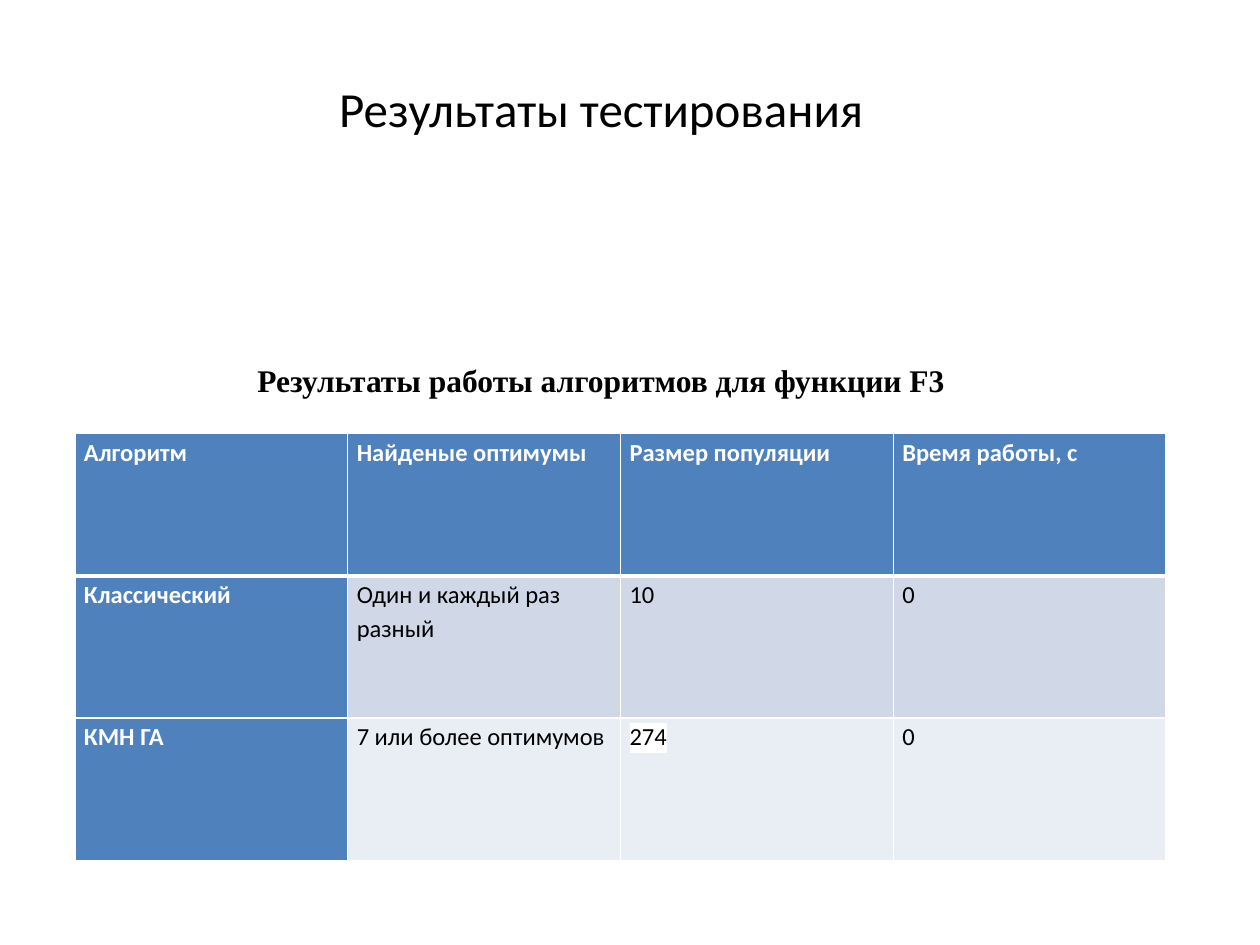
from lxml import etree
from pptx import Presentation
from pptx.dml.color import RGBColor
from pptx.enum.text import MSO_ANCHOR, PP_ALIGN
from pptx.oxml.ns import qn
from pptx.util import Pt

CENTER = PP_ALIGN.CENTER
MIDDLE = MSO_ANCHOR.MIDDLE
TOP = MSO_ANCHOR.TOP
COLORS = {"header": "4F81BD", "band_dark": "D0D8E8", "band_light": "E9EDF4",
          "white": "FFFFFF", "black": "000000"}


def style_text(paragraph, size, font_name, color, bold):
    for run in paragraph.runs:
        run.font.size = Pt(size)
        run.font.name = font_name
        run.font.bold = bold
        run.font.color.rgb = RGBColor.from_string(COLORS[color])


def add_color(parent, tag, color):
    holder = etree.SubElement(parent, qn(tag))
    etree.SubElement(holder, qn("a:srgbClr"), val=COLORS[color])
    return holder


prs = Presentation()
prs.slide_width, prs.slide_height = Pt(720), Pt(540)
slide = prs.slides.add_slide(prs.slide_layouts[5])

results = [
    ["Алгоритм", "Найденые оптимумы", "Размер популяции", "Время работы, с"],
    ["Классический", "Один и каждый раз разный", "10", "0"],
    ["КМН ГА", "7 или более оптимумов", "274", "0"],
]
row_fills = ["header", "band_dark", "band_light"]
table = slide.shapes.add_table(3, 4, Pt(42.8), Pt(247.8), Pt(623.6), Pt(243.9)).table
for column in table.columns:
    column.width = Pt(155.9)
for row in table.rows:
    row.height = Pt(81.3)

for r, values in enumerate(results):
    for c, value in enumerate(values):
        heading = r == 0 or c == 0
        cell = table.cell(r, c)
        cell.text = value
        cell.margin_left = cell.margin_right = Pt(5.2)
        cell.margin_top = cell.margin_bottom = 0
        cell.vertical_anchor = TOP
        paragraph = cell.text_frame.paragraphs[0]
        paragraph.line_spacing = 1.15
        paragraph.space_after = Pt(10)
        style_text(paragraph, 14, "Calibri", "white" if heading else "black", heading)
        cell.fill.solid()
        cell.fill.fore_color.rgb = RGBColor.from_string(
            COLORS["header" if heading else row_fills[r]])
        properties = cell._tc.get_or_add_tcPr()
        widths = {"a:lnL": 1, "a:lnR": 1, "a:lnT": 3 if r == 1 else 1,
                  "a:lnB": 3 if r == 0 else 1}
        for position, (tag, width) in enumerate(widths.items()):
            border = etree.SubElement(properties, qn(tag), w=str(Pt(width)))
            add_color(border, "a:solidFill", "white")
            properties.insert(position, border)

population = table.cell(2, 2).text_frame.paragraphs[0].runs[0]
run_properties = population.font._element
highlight = add_color(run_properties, "a:highlight", "white")
run_properties.find(qn("a:solidFill")).addnext(highlight)

caption = slide.shapes.add_textbox(Pt(96.5), Pt(202.5), Pt(494), Pt(29)).text_frame
caption.word_wrap = True
caption.text = "Результаты работы алгоритмов для функции F3"
caption.paragraphs[0].alignment = CENTER
style_text(caption.paragraphs[0], 18, "Times New Roman", "black", True)

title = slide.shapes.title
title.left, title.top, title.width, title.height = Pt(65.5), Pt(41), Pt(556), Pt(41)
title.text_frame.text = "Результаты тестирования"
title.text_frame.vertical_anchor = MIDDLE
title.text_frame.paragraphs[0].alignment = CENTER
style_text(title.text_frame.paragraphs[0], 28, "Calibri", "black", False)

prs.save("out.pptx")
